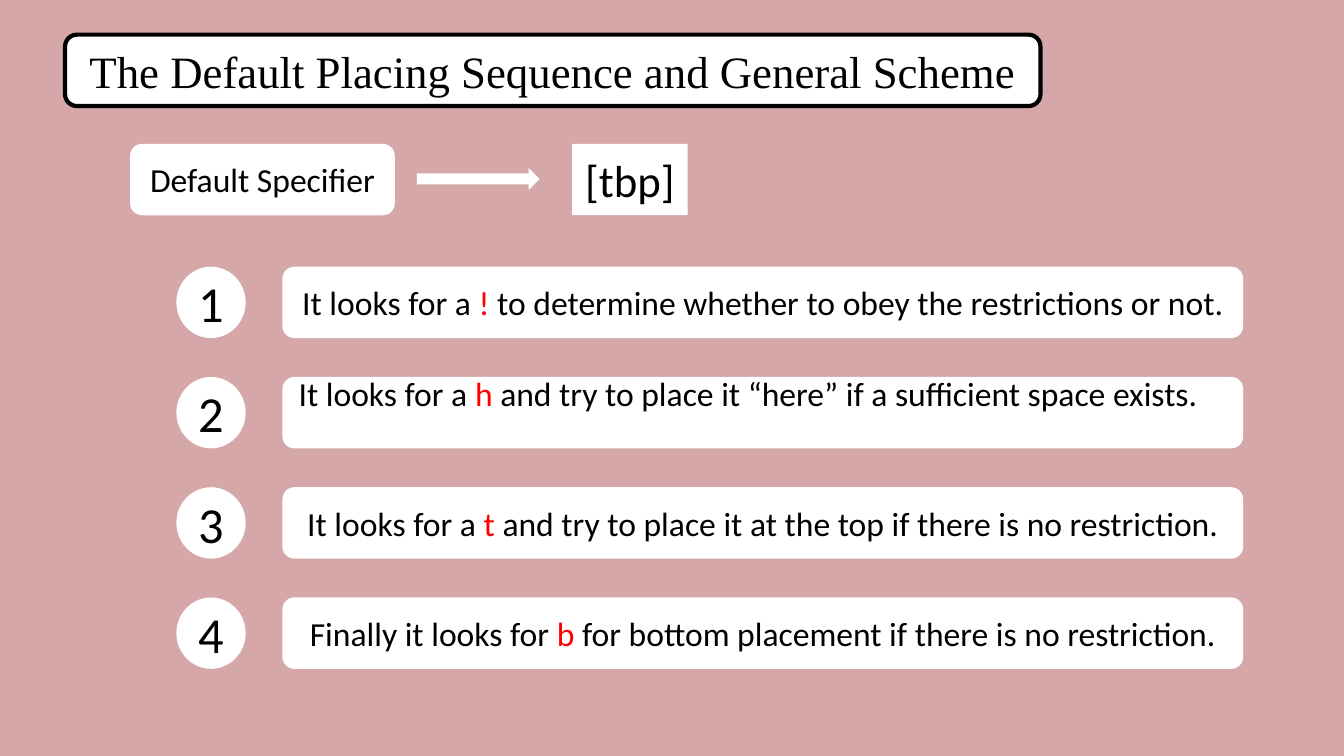
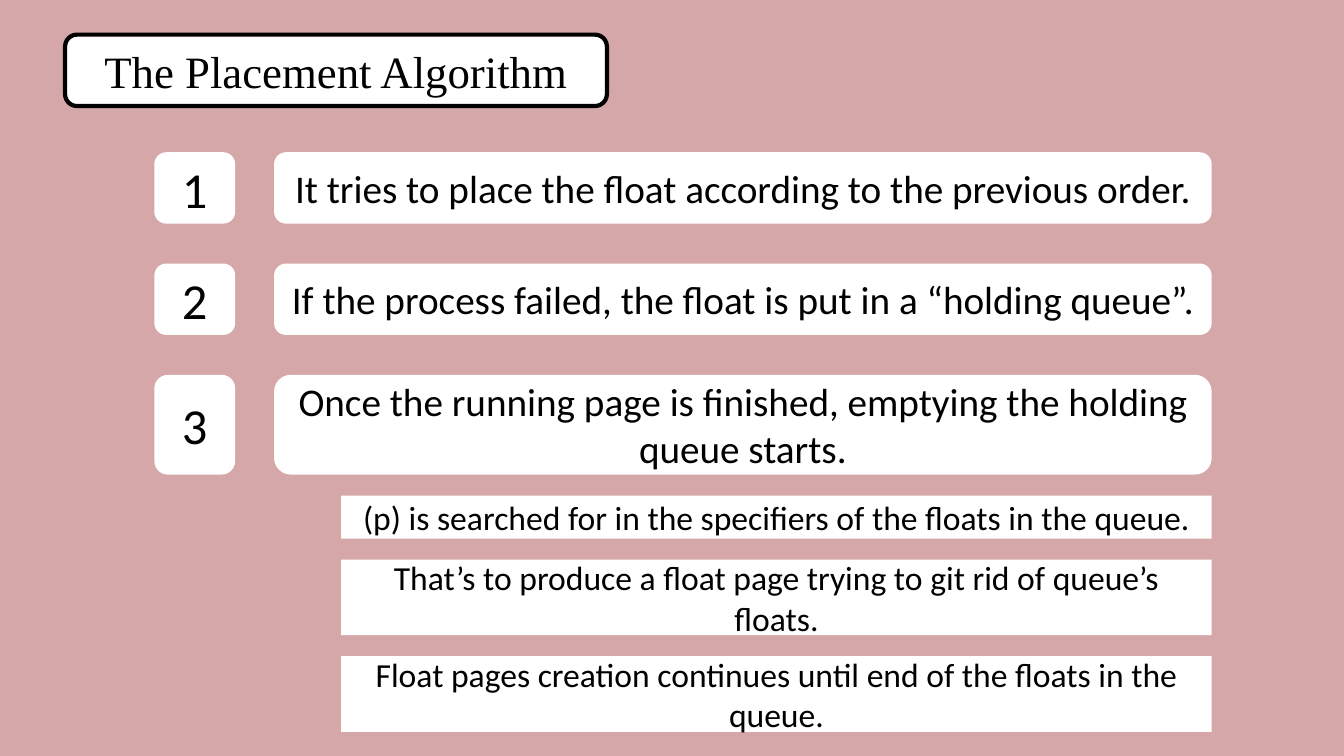
"""Build two slides on how floats are placed, with numbered step cards."""
from dataclasses import dataclass

from pptx import Presentation
from pptx.dml.color import RGBColor
from pptx.enum.shapes import MSO_SHAPE
from pptx.enum.text import MSO_ANCHOR, MSO_AUTO_SIZE, PP_ALIGN
from pptx.util import Emu, Pt

ROUNDED = MSO_SHAPE.ROUNDED_RECTANGLE
RECTANGLE = MSO_SHAPE.RECTANGLE
OVAL = MSO_SHAPE.OVAL
ARROW = MSO_SHAPE.RIGHT_ARROW
MIDDLE = MSO_ANCHOR.MIDDLE
CENTER = PP_ALIGN.CENTER
FIXED = MSO_AUTO_SIZE.NONE
TITLE_ONLY = 5
EMU_PER_PX = 9525


@dataclass(frozen=True)
class Theme:
    background: RGBColor = RGBColor(0xD5, 0xA7, 0xA8)
    card: RGBColor = RGBColor(0xFF, 0xFF, 0xFF)
    ink: RGBColor = RGBColor(0x00, 0x00, 0x00)
    accent: RGBColor = RGBColor(0xFF, 0x00, 0x00)
    title_font: str = "Times New Roman"
    body_font: str = "Calibri"
    title_size: int = 32
    number_size: int = 36
    specifier_size: int = 32
    step_size: int = 28
    text_size: int = 24
    frame_width: int = 3


THEME = Theme()
CARD_HEIGHT = 68


def px(value):
    return Emu(value * EMU_PER_PX)


def add_span(para, text, size, color=THEME.ink, font=THEME.body_font):
    span = para.add_run()
    span.text = text
    span.font.size = Pt(size)
    span.font.name = font
    span.font.color.rgb = color


def centre_text(frame):
    frame.word_wrap = True
    frame.auto_size = FIXED
    frame.vertical_anchor = MIDDLE
    para = frame.paragraphs[0]
    para.alignment = CENTER
    return para


def add_card(shapes, kind, left, top, width, height):
    card = shapes.add_shape(kind, px(left), px(top), px(width), px(height))
    card.shadow.inherit = False
    card.fill.solid()
    card.fill.fore_color.rgb = THEME.card
    card.line.fill.background()
    return card


def add_text_card(shapes, kind, place, spans, size):
    card = add_card(shapes, kind, *place)
    para = centre_text(card.text_frame)
    for text, color in spans:
        add_span(para, text, size, color)
    return card


def plain(text):
    return [(text, THEME.ink)]


def highlighted(before, letter, after):
    return [(before, THEME.ink), (letter, THEME.accent), (after, THEME.ink)]


def add_step(page, number, kind, badge, card, top, height, spans, size):
    group = page.shapes.add_group_shape()
    card_left, card_width = card
    badge_left, badge_width = badge
    box = add_text_card(group.shapes, ROUNDED,
                        (card_left, top, card_width, height), spans, size)
    add_text_card(group.shapes, kind, (badge_left, top, badge_width, height),
                  plain(str(number)), THEME.number_size)
    return box


def add_page(deck, text, width):
    page = deck.slides.add_slide(deck.slide_layouts[TITLE_ONLY])
    place = (62, 33, width, CARD_HEIGHT)
    frame = add_card(page.shapes, ROUNDED, *place)
    frame.line.color.rgb = THEME.ink
    frame.line.width = Pt(THEME.frame_width)
    title = page.shapes.title
    title.left, title.top, title.width, title.height = map(px, place)
    frame.element.addnext(title.element)
    add_span(centre_text(title.text_frame), text, THEME.title_size,
             font=THEME.title_font)
    return page


def build_sequence(deck):
    page = add_page(deck, "The Default Placing Sequence and General Scheme", 929)
    row_top = 137
    add_text_card(page.shapes, RECTANGLE, (545, row_top, 110, CARD_HEIGHT),
                  plain("[tbp]"), THEME.specifier_size)
    add_text_card(page.shapes, ROUNDED, (124, row_top, 252, CARD_HEIGHT),
                  plain("Default Specifier"), THEME.text_size)
    add_card(page.shapes, ARROW, 397, 160, 117, 21)

    steps = [
        ("It looks for a ", "!",
         " to determine whether to obey the restrictions or not."),
        ("It looks for a ", "h",
         " and try to place it “here” if a sufficient space exists."),
        ("It looks for a ", "t",
         " and try to place it at the top if there is no restriction."),
        ("Finally it looks for ", "b",
         " for bottom placement if there is no restriction."),
    ]
    first_top, pitch = 254, 105
    boxes = [
        add_step(page, index + 1, OVAL, (168, 66), (269, 915),
                 first_top + index * pitch, CARD_HEIGHT,
                 highlighted(*step), THEME.text_size)
        for index, step in enumerate(steps)
    ]
    here = boxes[1].text_frame
    here.margin_left, here.margin_right = px(5), px(33)
    here.margin_top, here.margin_bottom = px(0), px(38)


def build_algorithm(deck):
    page = add_page(deck, "The Placement Algorithm", 516)
    steps = [
        ("It tries to place the float according to the previous order.",
         CARD_HEIGHT),
        ("If the process failed, the float is put in a “holding queue”.",
         CARD_HEIGHT),
        ("Once the running page is finished, emptying the holding queue starts.",
         95),
    ]
    details = [
        ("(p) is searched for in the specifiers of the floats in the queue.", 41),
        ("That’s to produce a float page trying to git rid of queue’s floats.", 72),
        ("Float pages creation continues until end of the floats in the queue.", 72),
    ]
    top, step_gap, detail_gap = 145, 38, 20
    for number, (text, height) in enumerate(steps, start=1):
        add_step(page, number, ROUNDED, (147, 77), (261, 893), top, height,
                 plain(text), THEME.step_size)
        top += height + step_gap
    top += detail_gap - step_gap
    for text, height in details:
        add_text_card(page.shapes, RECTANGLE, (325, top, 829, height),
                      plain(text), THEME.text_size)
        top += height + detail_gap


def main():
    deck = Presentation()
    deck.slide_width, deck.slide_height = px(1280), px(720)
    backdrop = deck.slide_master.background.fill
    backdrop.solid()
    backdrop.fore_color.rgb = THEME.background
    build_sequence(deck)
    build_algorithm(deck)
    deck.save("out.pptx")


if __name__ == "__main__":
    main()
